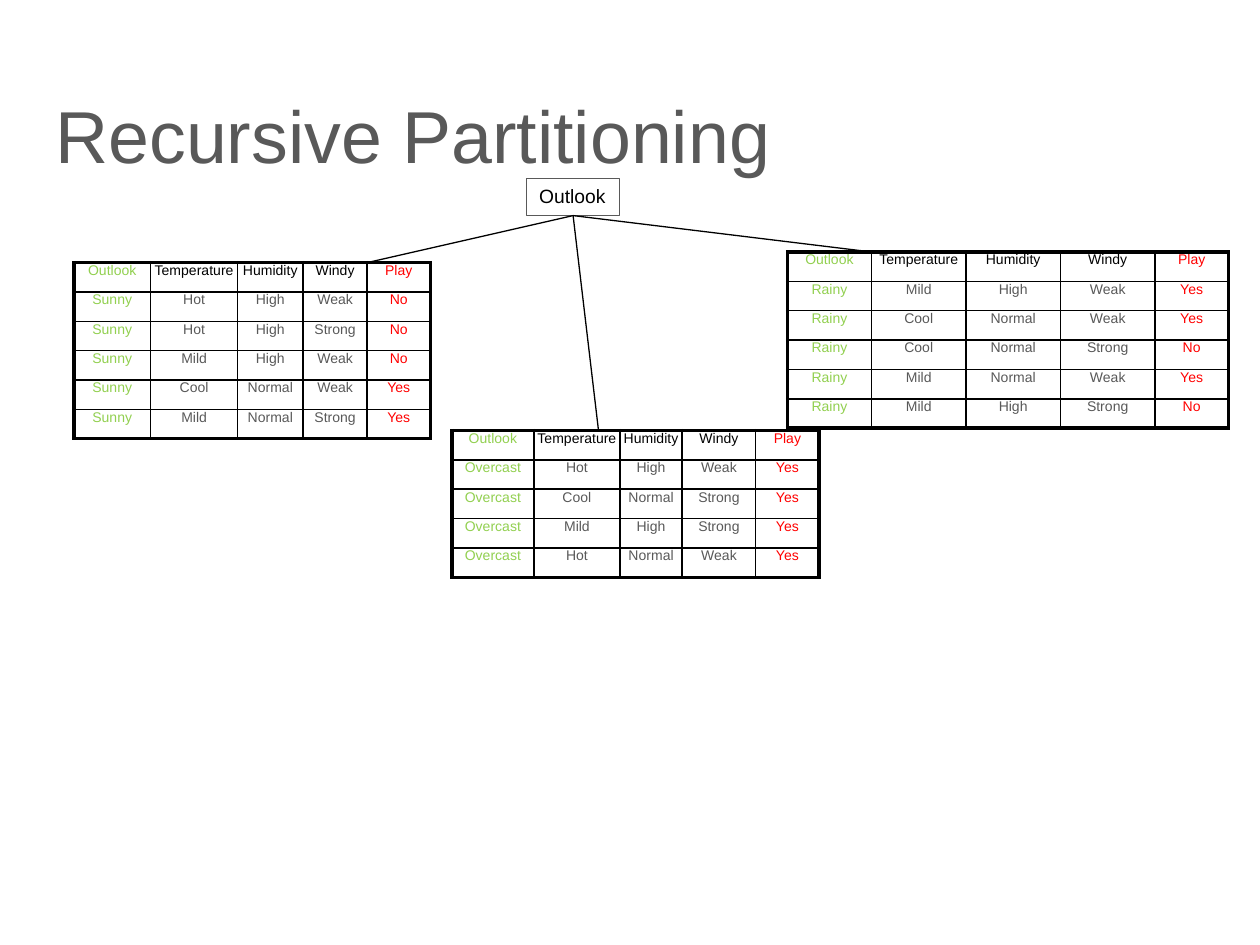
import pptx
import pptx.dml.color
import pptx.enum.shapes
import pptx.enum.text
import pptx.oxml
import pptx.oxml.ns
import pptx.util
import lxml.etree

Pt = pptx.util.Pt
theme = {
    "font": "Arial", "title": 42, "root": 11, "cell": 8,
    "grey": "595959", "black": "000000", "green": "92D050", "red": "FF0000",
    "thick": 2.25, "thin": 1, "link": 0.75,
}
heads = ["Outlook", "Temperature", "Humidity", "Windy", "Play"]
high = 16.8
grids = [
    (42.2, 150, [43.9, 49.7, 37.4, 36.7, 36], "Sunny", [
        "Hot High Weak No", "Hot High Strong No", "Mild High Weak No",
        "Cool Normal Weak Yes", "Mild Normal Strong Yes"]),
    (258.2, 246, [46.9, 49.2, 35.6, 42, 36.3], "Overcast", [
        "Hot High Weak Yes", "Cool Normal Strong Yes",
        "Mild High Strong Yes", "Hot Normal Weak Yes"]),
    (450, 144, [48, 54, 54, 54, 42], "Rainy", [
        "Mild High Weak Yes", "Cool Normal Weak Yes", "Cool Normal Strong No",
        "Mild Normal Weak Yes", "Mild High Strong No"]),
]


def write(frame, text, size, tint):
    run = frame.paragraphs[0].add_run()
    run.text = text
    run.font.name = theme["font"]
    run.font.size = Pt(theme[size])
    run.font.color.rgb = pptx.dml.color.RGBColor.from_string(theme[tint])


def border(cell, sides):
    for spot, (side, weight) in enumerate(sides.items()):
        line = pptx.oxml.parse_xml(
            f'<a:{side} {pptx.oxml.ns.nsdecls("a")} w="{Pt(theme[weight])}">'
            f'<a:solidFill><a:srgbClr val="{theme["black"]}"/></a:solidFill>'
            f'</a:{side}>')
        cell._tc.get_or_add_tcPr().insert(spot, line)


deck = pptx.Presentation()
deck.slide_width, deck.slide_height = Pt(720), Pt(540)
slide = deck.slides.add_slide(deck.slide_layouts[6])
shapes = slide.shapes

title = shapes.add_textbox(Pt(24.6), Pt(46.8), Pt(671), Pt(59.8)).text_frame
title.word_wrap = True
title.vertical_anchor = pptx.enum.text.MSO_ANCHOR.MIDDLE
write(title, "Recursive Partitioning", "title", "grey")

root = shapes.add_shape(pptx.enum.shapes.MSO_SHAPE.RECTANGLE,
                        Pt(301), Pt(102), Pt(53), Pt(21.2))
root.shadow.inherit = False
root.fill.background()
root.line.color.rgb = pptx.dml.color.RGBColor.from_string(theme["grey"])
root.line.width = Pt(theme["link"])
root.text_frame.word_wrap = False
root.text_frame.vertical_anchor = pptx.enum.text.MSO_ANCHOR.TOP
root.text_frame.paragraphs[0].alignment = pptx.enum.text.PP_ALIGN.LEFT
write(root.text_frame, heads[0], "root", "black")

for left, top, widths, group, lines in grids:
    rows = [heads] + [[group] + line.split() for line in lines]
    last = len(rows) - 1
    table = shapes.add_table(len(rows), len(heads), Pt(left), Pt(top),
                             Pt(sum(widths)), Pt(high * len(rows))).table
    table.first_row = table.horz_banding = False
    for col, width in zip(table.columns, widths):
        col.width = Pt(width)
    for r, row in enumerate(rows):
        table.rows[r].height = Pt(high)
        for c, text in enumerate(row):
            cell = table.cell(r, c)
            cell.fill.background()
            cell.margin_left = cell.margin_right = 0
            cell.margin_top = cell.margin_bottom = 0
            border(cell, {
                "lnL": "thick" if c == 0 else "thin",
                "lnR": "thick" if c == 4 else "thin",
                "lnT": "thick" if r == 0 else "thin",
                "lnB": "thick" if r == last else "thin",
            })
            plain = "black" if r == 0 else "grey"
            tint = {0: "green", 4: "red"}.get(c, plain)
            cell.text_frame.paragraphs[0].alignment = pptx.enum.text.PP_ALIGN.CENTER
            write(cell.text_frame, text, "cell", tint)

for x, y in [(210.2, 150), (342, 246), (498.2, 144)]:
    link = shapes.add_connector(pptx.enum.shapes.MSO_CONNECTOR.STRAIGHT,
                                Pt(327.5), Pt(123.2), Pt(x), Pt(y))
    link.line.color.rgb = pptx.dml.color.RGBColor.from_string(theme["black"])
    link.line.width = Pt(theme["link"])
    lxml.etree.SubElement(link._element.spPr, pptx.oxml.ns.qn("a:effectLst"))

deck.save("out.pptx")
